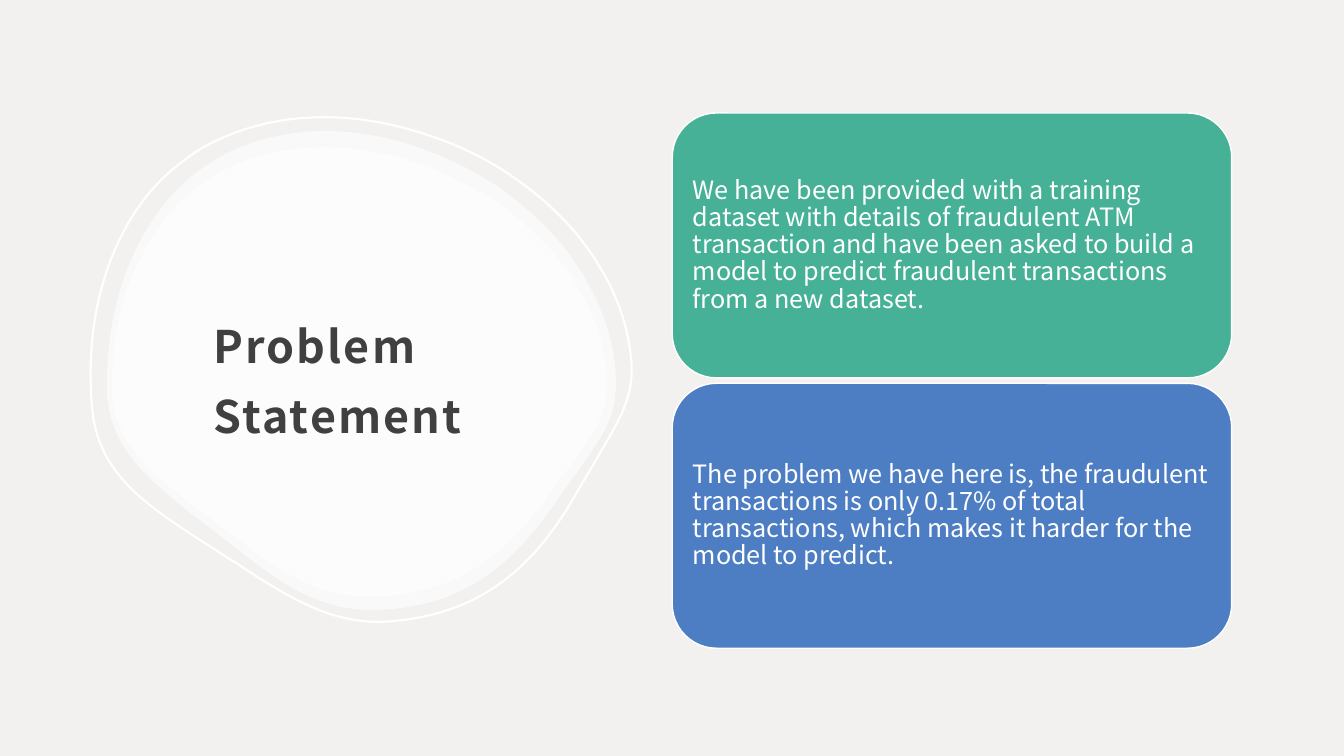
from lxml.etree import SubElement
from pptx import Presentation
from pptx.dml.color import RGBColor
from pptx.enum.shapes import MSO_SHAPE as Preset
from pptx.enum.text import MSO_ANCHOR as Anchor, MSO_AUTO_SIZE as AutoSize, PP_ALIGN as Align
from pptx.oxml.ns import qn
from pptx.util import Pt

BACKGROUND = RGBColor(0xF3, 0xF1, 0xF0)
WHITE = RGBColor(0xFF, 0xFF, 0xFF)
DARK = RGBColor(0x40, 0x40, 0x40)
GREEN = RGBColor(0x46, 0xB1, 0x96)
BLUE = RGBColor(0x4D, 0x7E, 0xC3)
FONT = "Noto Sans CJK JP"

BLOB_START = (216, 0)
BLOB_CURVES = [
    ((183, 0), (152, 7), (125, 19)),
    ((100, 31), (77, 48), (59, 70)),
    ((21, 116), (0, 180), (0, 252)),
    ((0, 280), (8, 303), (26, 326)),
    ((45, 350), (74, 372), (104, 395)),
    ((109, 399), (115, 404), (121, 408)),
    ((172, 449), (210, 475), (261, 475)),
    ((339, 475), (395, 443), (446, 367)),
    ((453, 357), (460, 348), (466, 339)),
    ((492, 303), (505, 284), (505, 252)),
    ((505, 220), (497, 188), (481, 158)),
    ((466, 128), (444, 101), (416, 77)),
    ((389, 53), (356, 34), (322, 21)),
    ((287, 7), (251, 0), (216, 0)),
]


def bend_lines(shape):
    lines = list(shape._element.iter(qn("a:lnTo")))
    for first, second, third in zip(lines[::3], lines[1::3], lines[2::3]):
        first.tag = qn("a:cubicBezTo")
        for line in (second, third):
            first.append(line[0])
            line.getparent().remove(line)


presentation = Presentation()
presentation.slide_width, presentation.slide_height = Pt(960), Pt(540)
slide = presentation.slides.add_slide(presentation.slide_layouts[5])
slide.background.fill.solid()
slide.background.fill.fore_color.rgb = BACKGROUND

blobs = [
    (76.3, 93.6, 363.6, 342, 0, True),
    (79.9, 105.1, 353.5, 321.1, 0, True),
    (64.1, 81.4, 386.6, 363.6, 355, False),
]
for left, top, width, height, rotation, filled in blobs:
    builder = slide.shapes.build_freeform(*BLOB_START, scale=Pt(0.72))
    builder.add_line_segments([point for curve in BLOB_CURVES for point in curve], close=True)
    blob = builder.convert_to_shape()
    bend_lines(blob)
    blob.left, blob.top, blob.width, blob.height = Pt(left), Pt(top), Pt(width), Pt(height)
    blob.rotation = rotation
    blob.shadow.inherit = False
    if filled:
        blob.fill.solid()
        blob.fill.fore_color.rgb = WHITE
        color = blob.fill._xPr.find(qn("a:solidFill"))[0]
        SubElement(color, qn("a:alpha"), val="60000")
        blob.line.fill.background()
    else:
        blob.fill.background()
        blob.line.color.rgb = WHITE
        blob.line.width = Pt(1.5)

title = slide.shapes.title
blob._element.addnext(title._element)
title.left, title.top, title.width, title.height = Pt(144), Pt(149.8), Pt(260.6), Pt(231.1)
frame = title.text_frame
frame.text = "Problem Statement"
frame.word_wrap = True
frame.auto_size = AutoSize.NONE
frame.vertical_anchor = Anchor.MIDDLE
frame.margin_left = frame.margin_top = frame.margin_right = Pt(8.64)
frame.margin_bottom = Pt(7.2)
paragraph = frame.paragraphs[0]
paragraph.alignment = Align.LEFT
paragraph.line_spacing = 1.3
paragraph.font.name = FONT
paragraph.font.size = Pt(32)
paragraph.font.bold = True
paragraph.font.color.rgb = DARK
paragraph.runs[0]._r.get_or_add_rPr().set("spc", "150")

cards = [
    (GREEN, "We have been provided with a training dataset with details of fraudulent ATM "
            "transaction and have been asked to build a model to predict fraudulent "
            "transactions from a new dataset."),
    (BLUE, "The problem we have here is, the fraudulent transactions is only 0.17% of total "
           "transactions, which makes it harder for the model to predict."),
]
for index, (fill_color, statement) in enumerate(cards):
    card = slide.shapes.add_shape(
        Preset.ROUNDED_RECTANGLE, Pt(480.2), Pt(80.7 + 193.1 * index), Pt(399.6), Pt(189.2))
    card.shadow.inherit = False
    card.fill.solid()
    card.fill.fore_color.rgb = fill_color
    card.line.color.rgb = WHITE
    card.line.width = Pt(1)
    frame = card.text_frame
    frame.text = statement
    frame.word_wrap = True
    frame.vertical_anchor = Anchor.MIDDLE
    frame.margin_left = frame.margin_top = frame.margin_right = frame.margin_bottom = Pt(5.4)
    paragraph = frame.paragraphs[0]
    paragraph.alignment = Align.LEFT
    paragraph.line_spacing = 0.9
    paragraph.font.name = FONT
    paragraph.font.size = Pt(18)
    paragraph.font.color.rgb = WHITE

presentation.save("out.pptx")
